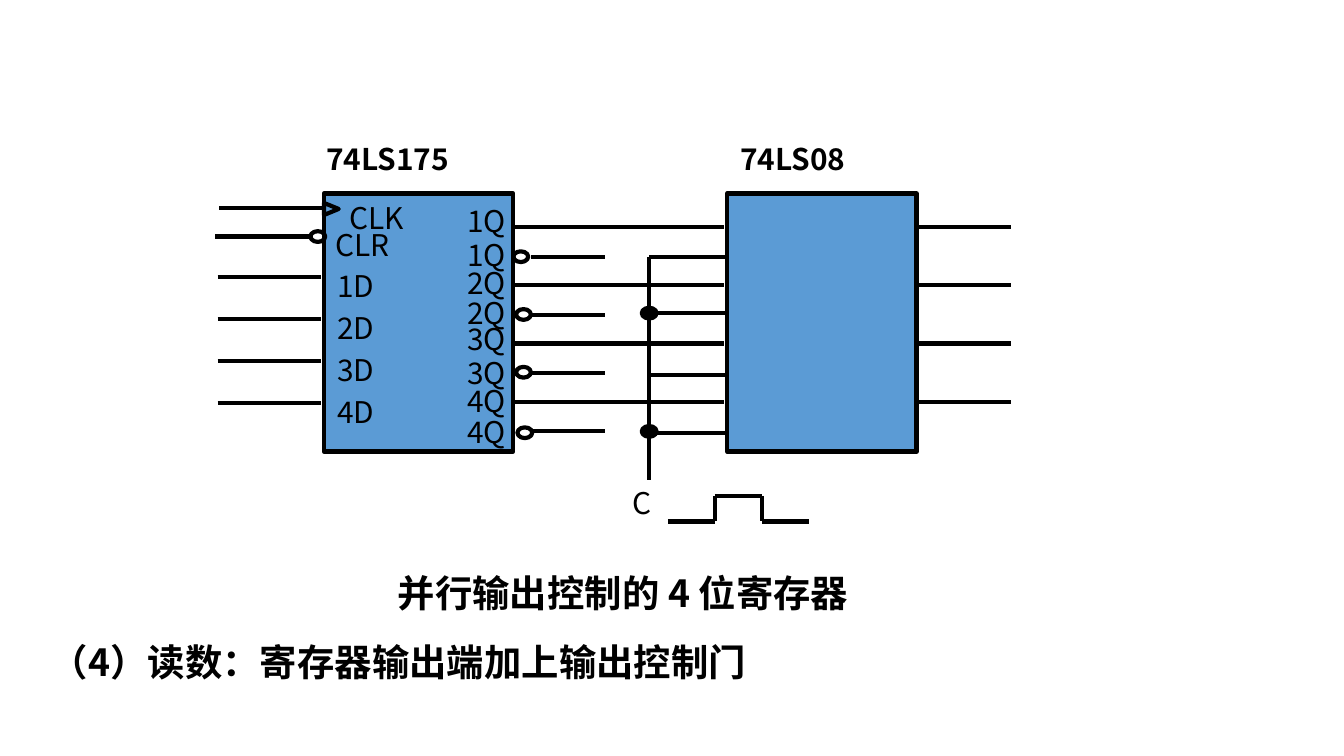
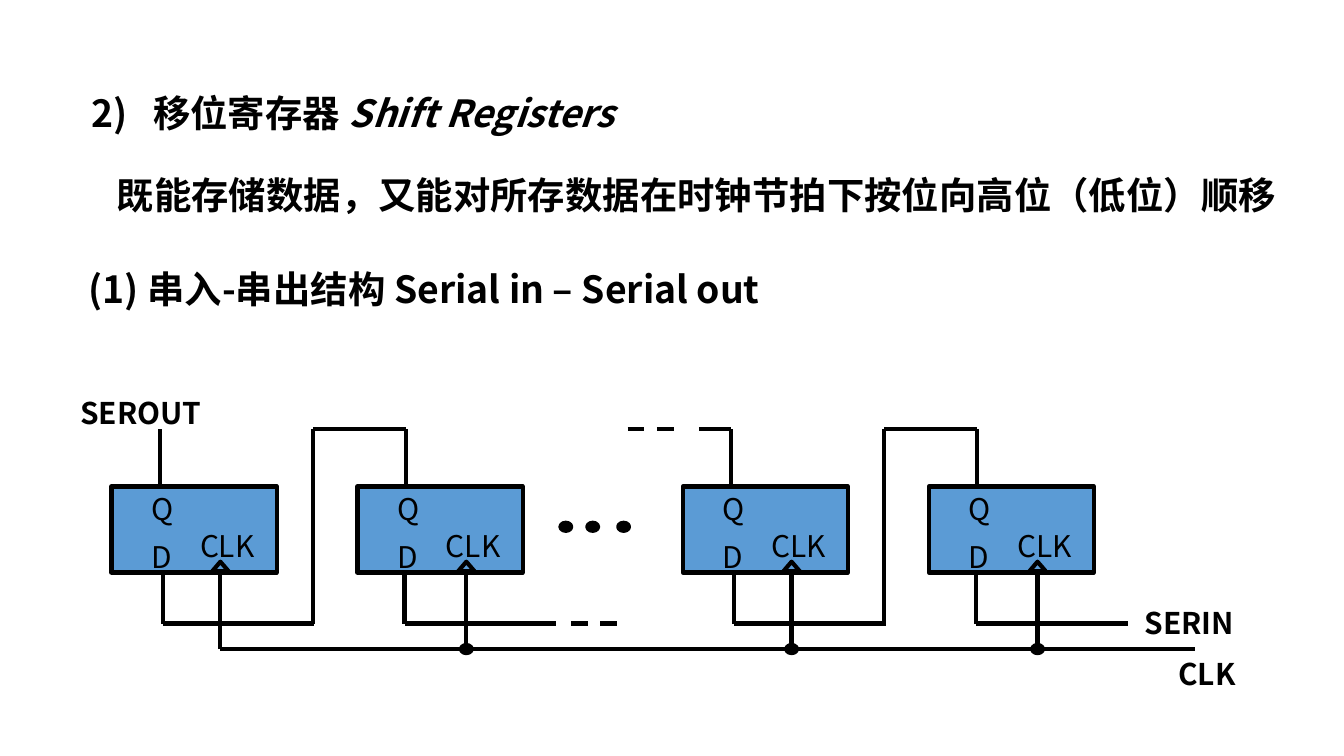
from itertools import pairwise

from lxml import etree
from pptx import Presentation
from pptx.dml.color import RGBColor
from pptx.enum.dml import MSO_LINE
from pptx.enum.shapes import MSO_CONNECTOR, MSO_SHAPE
from pptx.enum.text import MSO_ANCHOR, MSO_AUTO_SIZE, PP_ALIGN
from pptx.oxml.ns import qn
from pptx.util import Inches, Pt

RECTANGLE, OVAL = MSO_SHAPE.RECTANGLE, MSO_SHAPE.OVAL
TRIANGLE = MSO_SHAPE.FLOWCHART_EXTRACT
STRAIGHT, DASH = MSO_CONNECTOR.STRAIGHT, MSO_LINE.DASH
LEFT, TOP = PP_ALIGN.LEFT, MSO_ANCHOR.TOP
FIXED, GROW = MSO_AUTO_SIZE.NONE, MSO_AUTO_SIZE.SHAPE_TO_FIT_TEXT

SLIDE_WIDTH = Inches(10)
SLIDE_HEIGHT = SLIDE_WIDTH * 9 // 16
BLACK = RGBColor(0x00, 0x00, 0x00)
BLUE = RGBColor(0x5B, 0x9B, 0xD5)
LINE_WIDTH = Pt(2.25)
HEADING = {"size": Pt(20), "name": "Noto Sans CJK JP", "bold": True}
PIN = {"size": Pt(16), "name": "Noto Sans CJK SC", "bold": False}
SIGNAL = {**PIN, "bold": True}
LABEL_HEIGHT = 0.37

# Slide 1: parallel-output register
REGISTER_TITLE = "并行输出控制的 4 位寄存器"
READ_NOTE = "（4）读数：寄存器输出端加上输出控制门"
CHIPS = [("74LS175", 2.41, 2.33, 1.94), ("74LS08", 5.41, 5.41, 1.5)]
CONTROL_PINS = [("CLK", 2.5, 1.44), ("CLR", 2.4, 1.64)]
# Q label top, inverted Q label top, bubble left and top, gate wire height
BITS = [
    (1.46, 1.71, 3.82, 1.87, 1.91),
    (1.92, 2.14, 3.84, 2.3, 2.33),
    (2.34, 2.59, 3.84, 2.73, 2.79),
    (2.8, 3.03, 3.85, 3.18, 3.22),
]
DATA_SPAN, OUTPUT_SPAN = 0.94, 1.3  # first to last bit
CONTROL_X = 4.83
CONTROL_DOTS = [2.33, 3.21]
PULSE = [(4.97, 3.88), (5.32, 3.88), (5.32, 3.69),
         (5.67, 3.69), (5.67, 3.88), (6.02, 3.88)]

# Slide 2: shift register
SHIFT_TITLE = [("2)\t移位寄存器 ", False), ("Shift Registers", True)]
SHIFT_NOTES = [
    ("既能存储数据，又能对所存数据在时钟节拍下按位向高位（低位）顺移", 0.77, 1.23, 8.86),
    ("(1) 串入-串出结构 Serial in – Serial out", 0.56, 1.93, 7.17),
]
SIGNALS = [("SEROUT", 0.5, 2.89, 1.5), ("SERIN", 8.42, 4.45, 1.33),
           ("CLK", 8.67, 4.83, 1.17)]
STAGES = [(0.83, 1.21), (2.66, 3.01), (5.08, 5.46), (6.91, 7.26)]  # left, D wire
STAGE_LABELS = [("D", 0.2, 3.96, 0.27), ("Q", 0.2, 3.6, 0.27),
                ("CLK", 0.56, 3.88, 0.64)]
Q_OFFSET, CLOCK_OFFSET = 0.36, 0.81
STAGE_TOP, STAGE_BOTTOM = 3.62, 4.26
UPPER_Y, LOWER_Y, CLOCK_Y = 3.19, 4.64, 4.83
ELLIPSIS = [4.21, 4.41, 4.64]


def write(para, text, style, italic=None):
    span = para.add_run()
    span.text = text
    span.font.color.rgb = BLACK
    for key, value in {**style, "italic": italic}.items():
        setattr(span.font, key, value)
    east_asian = etree.SubElement(span.font._element, qn("a:ea"))
    east_asian.set("typeface", style["name"])


def set_frame(frame, auto_size):
    for key, value in {"word_wrap": True, "auto_size": auto_size,
                       "vertical_anchor": TOP}.items():
        setattr(frame, key, value)


def add_label(page, text, left, top, width, style=PIN, height=LABEL_HEIGHT):
    box = page.shapes.add_textbox(*map(Inches, (left, top, width, height)))
    set_frame(box.text_frame, GROW)
    write(box.text_frame.paragraphs[0], text, style)


def add_part(page, kind, left, top, width, height, fill=BLUE, rotation=0):
    part = page.shapes.add_shape(kind, *map(Inches, (left, top, width, height)))
    part.shadow.inherit = False
    part.rotation = rotation
    if fill is None:
        part.fill.background()
    else:
        part.fill.solid()
        part.fill.fore_color.rgb = fill
    part.line.color.rgb = BLACK
    part.line.width = LINE_WIDTH


def add_dot(page, x, y, width, height):
    add_part(page, OVAL, x - width / 2, y - height / 2, width, height, BLACK)


def add_wire(page, *points, dash=None):
    """Join consecutive points with straight segments."""
    for start, end in pairwise(points):
        wire = page.shapes.add_connector(STRAIGHT, *map(Inches, (*start, *end)))
        wire.line.color.rgb = BLACK
        wire.line.width = LINE_WIDTH
        if dash:
            wire.line.dash_style = dash
        etree.SubElement(wire._element.spPr, qn("a:effectLst"))


def add_page(deck, title_parts, left, top, width, height, tab=None):
    page = deck.slides.add_slide(deck.slide_layouts[5])
    title = page.shapes.title
    title.left, title.top, title.width, title.height = map(
        Inches, (left, top, width, height))
    set_frame(title.text_frame, FIXED)
    para = title.text_frame.paragraphs[0]
    para.alignment = LEFT
    para.line_spacing = 0.9
    if tab:
        stops = etree.SubElement(para._p.get_or_add_pPr(), qn("a:tabLst"))
        etree.SubElement(stops, qn("a:tab"), pos=str(Inches(tab)), algn="l")
    for text, italic in title_parts:
        write(para, text, HEADING, italic)
    return page


def build_register(deck):
    page = add_page(deck, [(REGISTER_TITLE, False)], 2.86, 4.23, 4.5, 0.62)
    for name, left, label_left, label_width in CHIPS:
        add_part(page, RECTANGLE, left, 1.44, 1.41, 1.92)
        add_label(page, name, label_left, 1, label_width, SIGNAL)

    add_part(page, TRIANGLE, 2.42, 1.5, 0.09, 0.11, rotation=90)
    add_wire(page, (1.63, 1.55), (2.4, 1.55))
    add_wire(page, (1.6, 1.76), (2.3, 1.76))
    add_part(page, OVAL, 2.31, 1.72, 0.11, 0.08, None)
    for name, left, top in CONTROL_PINS:
        add_label(page, name, left, top, 0.79)

    steps = len(BITS) - 1
    for index, (q_top, inverse_top, bubble_x, bubble_y, gate_y) in enumerate(BITS):
        data_shift = DATA_SPAN * index / steps
        output_shift = OUTPUT_SPAN * index / steps
        data_y, q_y, inverse_y = (2.06 + data_shift, 1.69 + output_shift,
                                  1.91 + output_shift)
        add_wire(page, (1.62, data_y), (2.39, data_y))
        add_wire(page, (3.82, q_y), (5.39, q_y))
        add_wire(page, (6.81, q_y), (7.52, q_y))
        add_wire(page, (3.95, inverse_y), (4.5, inverse_y))
        add_wire(page, (CONTROL_X, gate_y), (5.4, gate_y))
        add_part(page, OVAL, bubble_x, bubble_y, 0.11, 0.08, None)
        add_label(page, f"{index + 1}D", 2.41, 1.94 + data_shift, 0.79)
        for top in (q_top, inverse_top):
            add_label(page, f"{index + 1}Q", 3.38, top, 0.79)

    add_wire(page, (CONTROL_X, 1.91), (CONTROL_X, 3.57))
    for y in CONTROL_DOTS:
        add_dot(page, CONTROL_X, y, 0.11, 0.08)
    add_label(page, "C", 4.61, 3.56, 0.44)
    add_wire(page, *PULSE)
    add_label(page, READ_NOTE, 0.28, 4.71, 8.19, HEADING, 0.74)


def build_shift(deck):
    page = add_page(deck, SHIFT_TITLE, 0.58, 0.66, 6.92, 0.56, tab=0.46)
    for text, left, top, width in SHIFT_NOTES:
        add_label(page, text, left, top, width, HEADING, 0.44)
    for text, left, top, width in SIGNALS:
        add_label(page, text, left, top, width, SIGNAL)

    add_wire(page, (STAGES[0][0] + CLOCK_OFFSET, CLOCK_Y), (8.89, CLOCK_Y))
    for index, (left, data_x) in enumerate(STAGES):
        clock_x = left + CLOCK_OFFSET
        add_part(page, RECTANGLE, left, STAGE_TOP, 1.23, 0.64)
        for text, offset, top, width in STAGE_LABELS:
            add_label(page, text, left + offset, top, width)
        add_wire(page, (left + Q_OFFSET, STAGE_TOP), (left + Q_OFFSET, UPPER_Y))
        add_wire(page, (data_x, STAGE_BOTTOM), (data_x, LOWER_Y),
                 (data_x + 1.13, LOWER_Y))
        add_wire(page, (clock_x, CLOCK_Y), (clock_x, STAGE_BOTTOM))
        add_part(page, TRIANGLE, clock_x - 0.06, 4.18, 0.12, 0.07)
        if index:
            add_dot(page, clock_x, CLOCK_Y, 0.08, 0.06)

    for source, target in (STAGES[:2], STAGES[2:]):
        link_x = source[1] + 1.12
        add_wire(page, (link_x, LOWER_Y), (link_x, UPPER_Y),
                 (target[0] + Q_OFFSET, UPPER_Y))
    add_wire(page, (5.2, UPPER_Y), (STAGES[2][0] + Q_OFFSET, UPPER_Y))
    add_wire(page, (4.25, LOWER_Y), (4.67, LOWER_Y), dash=DASH)
    add_wire(page, (4.67, UPPER_Y), (5.1, UPPER_Y), dash=DASH)
    for x in ELLIPSIS:
        add_dot(page, x, 3.92, 0.08, 0.06)


def main():
    deck = Presentation()
    deck.slide_width, deck.slide_height = SLIDE_WIDTH, SLIDE_HEIGHT
    build_register(deck)
    build_shift(deck)
    deck.save("out.pptx")


if __name__ == "__main__":
    main()
